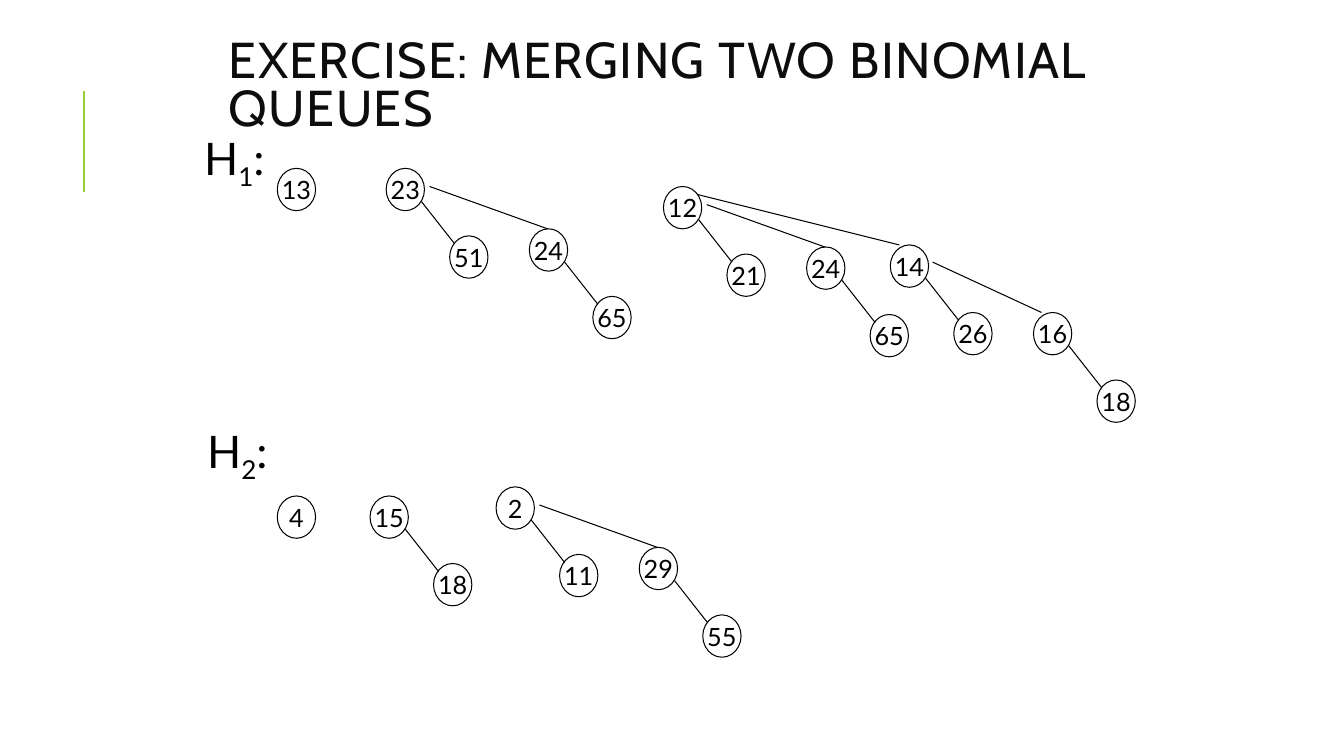
from dataclasses import dataclass

from pptx import Presentation
from pptx.dml.color import RGBColor
from pptx.enum.shapes import MSO_CONNECTOR as Connector, MSO_SHAPE as Shape
from pptx.enum.text import MSO_ANCHOR as Anchor, MSO_AUTO_SIZE as AutoSize, PP_ALIGN as Align
from pptx.oxml.ns import qn
from pptx.util import Inches, Pt


@dataclass(frozen=True)
class Theme:
    ink: RGBColor = RGBColor(0, 0, 0)
    title_ink: RGBColor = RGBColor(0x0D, 0x0D, 0x0D)
    paper: RGBColor = RGBColor(0xFF, 0xFF, 0xFF)
    accent: RGBColor = RGBColor(0x99, 0xCB, 0x38)
    title_font: str = "Cabin"
    body_font: str = "Lato"
    title_size: float = 36
    label_size: float = 32
    key_size: float = 18
    edge_width: float = 0.75
    accent_width: float = 1.5


@dataclass(frozen=True)
class Link:
    """Offsets from the parent's corner: child's corner, edge start, edge end."""
    child: tuple
    start: tuple
    end: tuple


THEME = Theme()
NODE_WIDTH, NODE_HEIGHT = 0.38, 0.42

NEAR = Link((0.63, 0.67), (0.35, 0.33), (0.68, 0.75))
MIDDLE = Link((1.42, 0.6), (0.43, 0.18), (1.6, 0.6))
STEEP = Link((1.42, 0.67), (0.42, 0.17), (1.5, 0.67))
FAR = Link((2.25, 0.58), (0.34, 0.08), (2.34, 0.58))


def binomial(key, *children):
    """A tree as its key and its (link, subtree) pairs."""
    return key, children


def pair(key, child):
    return binomial(key, (NEAR, binomial(child)))


def four(key, child, root, leaf, link=MIDDLE):
    return binomial(key, (NEAR, binomial(child)), (link, pair(root, leaf)))


TREE_12 = binomial(12, *four(12, 21, 24, 65)[1], (FAR, four(14, 26, 16, 18, STEEP)))
# Each queue: number, label corner, and trees with their root corners
QUEUES = [
    (1, (1.91, 1.25), [((2.75, 1.67), binomial(13)),
                       ((3.83, 1.67), four(23, 51, 24, 65)),
                       ((6.58, 1.85), TREE_12)]),
    (2, (1.94, 4.15), [((2.75, 4.92), binomial(4)),
                       ((3.67, 4.92), pair(15, 18)),
                       ((4.92, 4.83), four(2, 11, 29, 55))]),
]


def shift(point, offset):
    return point[0] + offset[0], point[1] + offset[1]


def add_span(para, text, size, font=THEME.body_font, color=THEME.ink):
    span = para.add_run()
    span.text = text
    span.font.size = Pt(size)
    span.font.name = font
    span.font.color.rgb = color
    return span


def add_line(page, start, end, color=THEME.ink, width=THEME.edge_width):
    line = page.shapes.add_connector(
        Connector.STRAIGHT, *(Inches(value) for value in (*start, *end)))
    line.line.color.rgb = color
    line.line.width = Pt(width)
    properties = line.element.spPr
    properties.append(properties.makeelement(qn("a:effectLst"), {}))


def add_node(page, corner, key):
    node = page.shapes.add_shape(
        Shape.OVAL, Inches(corner[0]), Inches(corner[1]),
        Inches(NODE_WIDTH), Inches(NODE_HEIGHT))
    node.shadow.inherit = False
    node.fill.background()
    node.line.color.rgb = THEME.ink
    node.line.width = Pt(THEME.edge_width)
    frame = node.text_frame
    frame.word_wrap = False
    frame.vertical_anchor = Anchor.MIDDLE
    para = frame.paragraphs[0]
    para.alignment = Align.CENTER
    add_span(para, str(key), THEME.key_size)


def add_tree(page, corner, tree):
    key, children = tree
    add_node(page, corner, key)
    for link, subtree in children:
        add_tree(page, shift(corner, link.child), subtree)
        add_line(page, shift(corner, link.start), shift(corner, link.end))


def add_label(page, corner, number):
    box = page.shapes.add_textbox(
        Inches(corner[0]), Inches(corner[1]), Inches(0.83), Inches(0.64))
    frame = box.text_frame
    frame.word_wrap = False
    frame.auto_size = AutoSize.SHAPE_TO_FIT_TEXT
    para = frame.paragraphs[0]
    para.alignment = Align.CENTER
    add_span(para, "H", THEME.label_size)
    subscript = add_span(para, str(number), THEME.label_size)
    subscript.font._element.get_or_add_rPr().set("baseline", "-25000") if hasattr(
        subscript.font._element, "get_or_add_rPr") else subscript.font._element.set(
        "baseline", "-25000")
    add_span(para, ":", THEME.label_size)


def add_queue(page, number, label_corner, trees):
    add_label(page, label_corner, number)
    for corner, tree in trees:
        add_tree(page, corner, tree)


def add_title(page, left, top, width, height):
    title = page.shapes.title
    title.left, title.top = Inches(left), Inches(top)
    title.width, title.height = Inches(width), Inches(height)
    frame = title.text_frame
    frame.word_wrap = True
    frame.auto_size = AutoSize.NONE
    frame.vertical_anchor = Anchor.MIDDLE
    para = frame.paragraphs[0]
    para.alignment = Align.LEFT
    para.line_spacing = 0.8
    span = add_span(para, "EXERCISE: MERGING TWO BINOMIAL QUEUES",
                    THEME.title_size, THEME.title_font, THEME.title_ink)
    span._r.get_or_add_rPr().set("spc", "100")


def main():
    deck = Presentation()
    deck.slide_width, deck.slide_height = Inches(13.33), Inches(7.5)
    page = deck.slides.add_slide(deck.slide_layouts.get_by_name("Title Only"))
    page.background.fill.solid()
    page.background.fill.fore_color.rgb = THEME.paper
    add_line(page, (0.83, 1.9), (0.83, 0.9), THEME.accent, THEME.accent_width)
    add_title(page, 2.17, 0.5, 9, 0.75)
    for queue in QUEUES:
        add_queue(page, *queue)
    deck.save("out.pptx")


if __name__ == "__main__":
    main()
